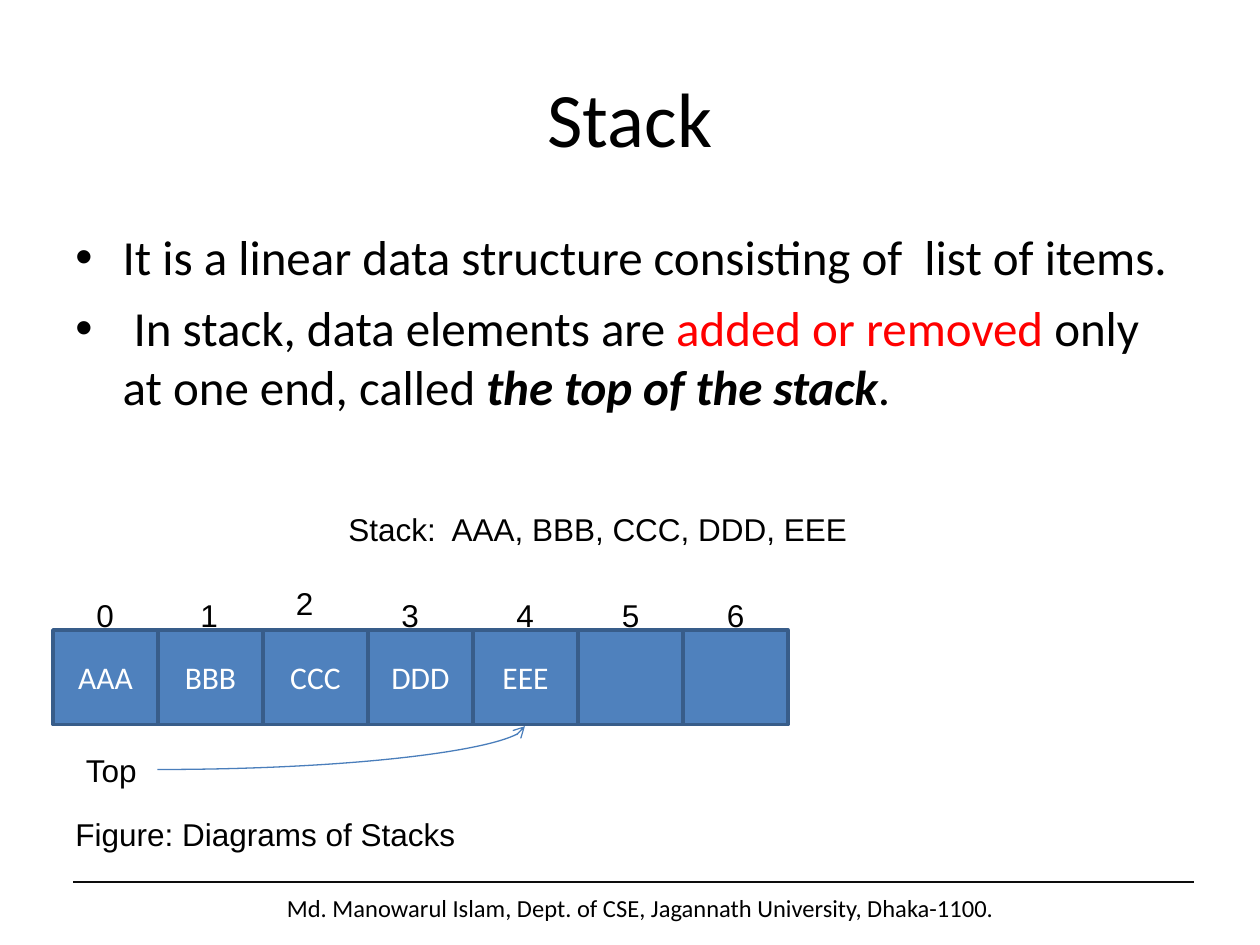
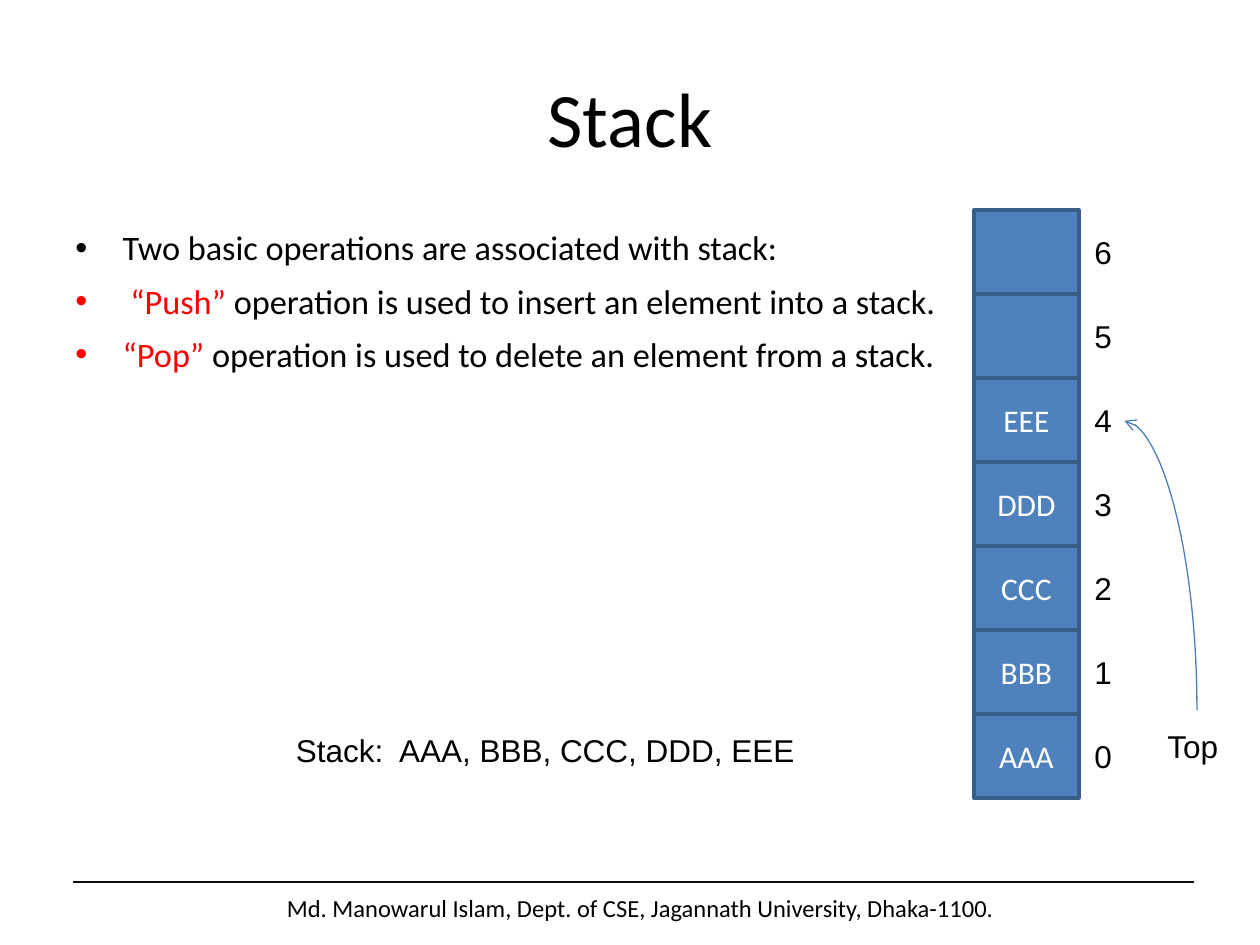
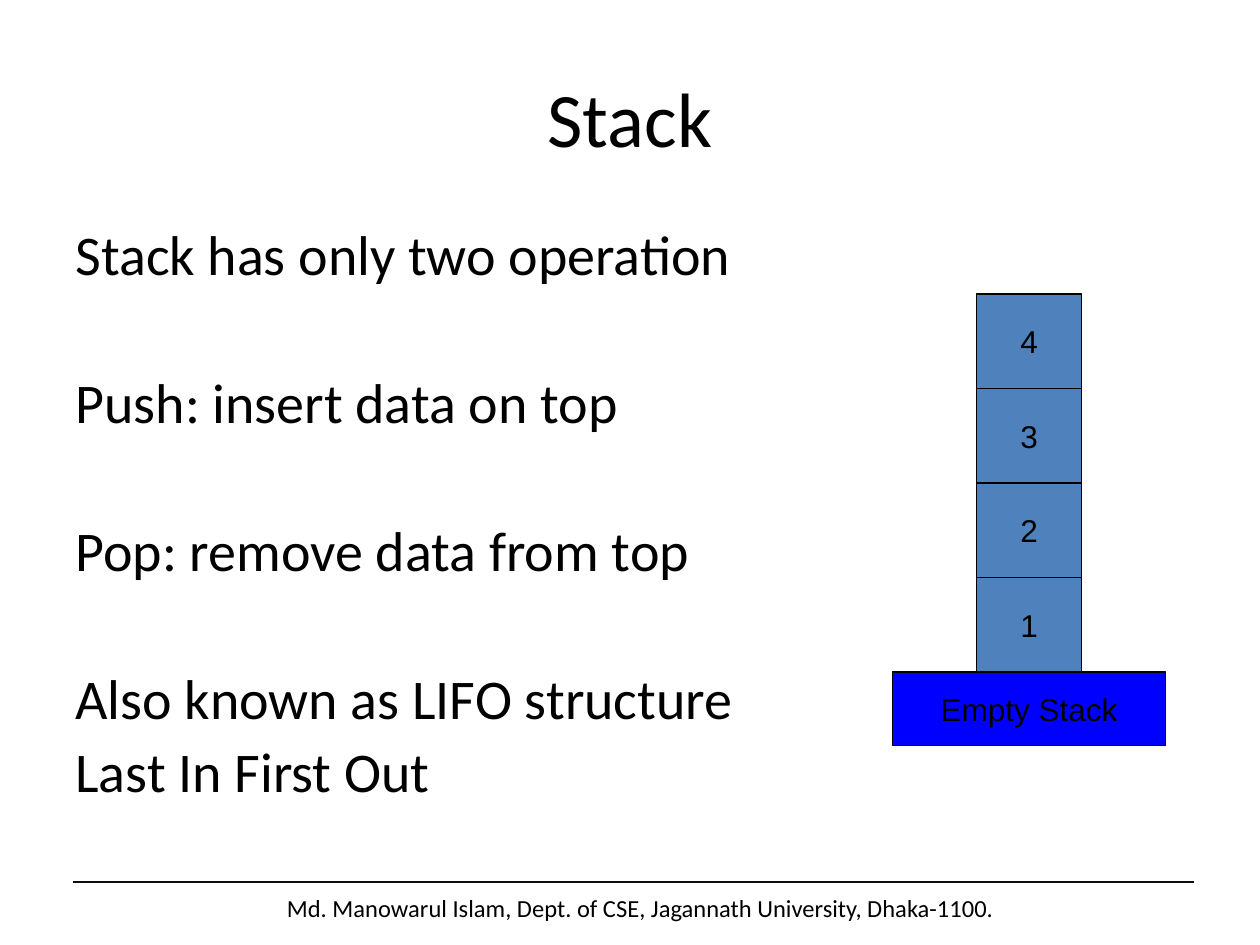
import dataclasses

import pptx
import pptx.dml.color
import pptx.enum.shapes
import pptx.enum.text
import pptx.oxml.ns
import pptx.oxml.xmlchemy
import pptx.util
from lxml import etree

Pt = pptx.util.Pt
qn = pptx.oxml.ns.qn
Align = pptx.enum.text.PP_ALIGN
Anchor = pptx.enum.text.MSO_ANCHOR


@dataclasses.dataclass(frozen=True)
class Theme:
    text: str = "000000"
    accent: str = "FF0000"
    light: str = "FFFFFF"
    cell: str = "4F81BD"
    cell_edge: str = "385D8A"
    base: str = "0000FF"
    curve: str = "4A7EBB"
    rule: str = "0D0D0D"
    body_font: str = "Calibri"
    label_font: str = "Arial"
    title_size: float = 44
    large_size: float = 32
    body_size: float = 28
    small_size: float = 19.6
    label_size: float = 18
    footer_size: float = 14


THEME = Theme()
FOOTER = "Md. Manowarul Islam, Dept. of CSE, Jagannath University, Dhaka-1100."
STACK_ITEMS = ["AAA", "BBB", "CCC", "DDD", "EEE", "", ""]
STACK_LABEL = "Stack:  AAA, BBB, CCC, DDD, EEE"
LABEL_HEIGHT = 28.8


def rgb(value):
    return pptx.dml.color.RGBColor.from_string(value)


class StackDeck:
    """Holds the deck, its theme and the slide being filled."""

    def __init__(self, theme):
        self.theme = theme
        self.deck = pptx.Presentation()
        self.deck.slide_width, self.deck.slide_height = Pt(720), Pt(540)

    def start_slide(self, title):
        theme = self.theme
        self.slide = self.deck.slides.add_slide(self.deck.slide_layouts[6])
        self.text(FOOTER, 27, 507, 678, 24.5, theme.footer_size, theme.body_font,
                  align=Align.CENTER)
        self.line(42, 504, 682.5, 504, theme.rule, 1)
        self.text(title, 36, 21.6, 648, 90, theme.title_size, theme.body_font,
                  align=Align.CENTER, anchor=Anchor.MIDDLE)

    def add_run(self, para, text, size, font, color, strong=False):
        span = para.add_run()
        span.text = text
        span.font.size = Pt(size)
        span.font.name = font
        span.font.color.rgb = rgb(color)
        if strong:
            span.font.bold = span.font.italic = True

    def text_box(self, left, top, width, height, wrap=True):
        box = self.slide.shapes.add_textbox(Pt(left), Pt(top), Pt(width), Pt(height))
        box.text_frame.word_wrap = wrap
        return box.text_frame

    def text(self, words, left, top, width, height, size, font,
             align=Align.LEFT, anchor=Anchor.TOP, wrap=True):
        frame = self.text_box(left, top, width, height, wrap)
        frame.vertical_anchor = anchor
        para = frame.paragraphs[0]
        para.alignment = align
        self.add_run(para, words, size, font, self.theme.text)

    def label(self, words, left, top, width=24.5):
        self.text(words, left, top, width, LABEL_HEIGHT, self.theme.label_size,
                  self.theme.label_font, wrap=False)

    def bullets(self, items, width, size):
        """Each item is a list of (text, color, strong) runs; the bullet takes the first color."""
        frame = self.text_box(36, 126, width, 132)
        for index, item in enumerate(items):
            para = frame.paragraphs[0] if index == 0 else frame.add_paragraph()
            if index:
                para.space_before = Pt(7)
            bullet_color = self.theme.text if item[0][0].startswith(" In") else item[0][1]
            properties = para._p.get_or_add_pPr()
            properties.set("marL", str(Pt(27)))
            properties.set("indent", str(-Pt(27)))
            color = etree.SubElement(properties, qn("a:buClr"))
            etree.SubElement(color, qn("a:srgbClr"), val=bullet_color)
            etree.SubElement(properties, qn("a:buFont"), typeface=self.theme.label_font)
            etree.SubElement(properties, qn("a:buChar"), char="•")
            for words, run_color, strong in item:
                self.add_run(para, words, size, self.theme.body_font, run_color, strong)

    def statements(self, items):
        """Each item is (text, space before in points)."""
        frame = self.text_box(36, 126, 500, 356)
        for index, (words, space) in enumerate(items):
            para = frame.paragraphs[0] if index == 0 else frame.add_paragraph()
            para.line_spacing = 0.9
            if space:
                para.space_before = Pt(space)
            self.add_run(para, words, self.theme.large_size, self.theme.body_font,
                         self.theme.text)

    def block(self, words, left, top, width, height, fill, edge, edge_width, font, color):
        shape = self.slide.shapes.add_shape(
            pptx.enum.shapes.MSO_SHAPE.RECTANGLE, Pt(left), Pt(top), Pt(width), Pt(height))
        shape.shadow.inherit = False
        shape.fill.solid()
        shape.fill.fore_color.rgb = rgb(fill)
        shape.line.color.rgb = rgb(edge)
        shape.line.width = Pt(edge_width)
        if words:
            shape.text_frame.vertical_anchor = Anchor.MIDDLE
            para = shape.text_frame.paragraphs[0]
            para.alignment = Align.CENTER
            self.add_run(para, words, self.theme.label_size, font, color)

    def cell(self, words, left, top, height):
        theme = self.theme
        self.block(words, left, top, 60, height, theme.cell, theme.cell_edge, 2,
                   theme.body_font, theme.light)

    def outlined_block(self, words, left, top, width, height, fill):
        theme = self.theme
        self.block(words, left, top, width, height, fill, theme.text, 0.75,
                   theme.label_font, theme.text)

    def line(self, x1, y1, x2, y2, color, width,
             kind=pptx.enum.shapes.MSO_CONNECTOR.STRAIGHT):
        connector = self.slide.shapes.add_connector(kind, Pt(x1), Pt(y1), Pt(x2), Pt(y2))
        connector.line.color.rgb = rgb(color)
        connector.line.width = Pt(width)
        etree.SubElement(connector._element.spPr, qn("a:effectLst"))
        return connector

    def curve(self, x1, y1, x2, y2, arrow_end):
        """Quarter curve, horizontal at its start; arrow_end is headEnd (start) or tailEnd."""
        connector = self.line(x1, y1, x2, y2, self.theme.curve, 0.75,
                              pptx.enum.shapes.MSO_CONNECTOR.CURVE)
        properties = connector._element.spPr
        properties.find(qn("a:prstGeom")).set("prst", "curvedConnector2")
        etree.SubElement(properties.find(qn("a:ln")), qn(f"a:{arrow_end}"), type="arrow")


def add_definition_slide(deck):
    text, accent = THEME.text, THEME.accent
    deck.start_slide("Stack")
    deck.bullets([
        [("It is a linear data structure consisting of  list of items.", text, False)],
        [(" In stack, data elements are ", text, False),
         ("added or removed ", accent, False),
         ("only at one end, called ", text, False),
         ("the top of the stack", text, True),
         (".", text, False)],
    ], 648, THEME.body_size)
    for index, item in enumerate(STACK_ITEMS):
        deck.cell(item, 30.25 + 60 * index, 360, 54)
    index_lefts = [48, 107.5, 162, 222.25, 288, 348.25, 408.25]
    for index, left in enumerate(index_lefts):
        deck.label(str(index), left, 330 if index == 2 else 337)
    deck.curve(90, 439.75, 300, 415, "tailEnd")
    deck.label("Top", 42, 425.5, 48)
    deck.label("Figure: Diagrams of Stacks", 36, 462, 231.5)
    deck.label(STACK_LABEL, 192, 288, 300)


def add_operations_slide(deck):
    text, accent = THEME.text, THEME.accent
    deck.start_slide("Stack")
    deck.bullets([
        [("Two basic operations are associated with stack:", text, False)],
        [(" “Push” ", accent, False),
         ("operation is used to insert an element into a stack.", text, False)],
        [("“Pop” ", accent, False),
         ("operation is used to delete an element from a stack.", text, False)],
    ], 522, THEME.small_size)
    deck.label(STACK_LABEL, 162, 414, 300)
    cell_height = 48
    for index, item in enumerate(STACK_ITEMS):
        top = 408 - cell_height * index
        deck.cell(item, 556.5, top, cell_height)
        deck.label(str(index), 618.25, top + (cell_height - LABEL_HEIGHT) / 2)
    deck.label("Top", 660, 412, 48)
    deck.curve(642.5, 240.5, 684, 406, "headEnd")


def add_lifo_slide(deck):
    deck.start_slide("Stack")
    deck.statements([
        ("Stack has only two operation", 0),
        ("Push: insert data on top", 50),
        ("Pop: remove data from top", 50),
        ("Also known as LIFO structure", 50),
        ("Last In First Out", 7.5),
    ])
    for number in range(1, 5):
        deck.outlined_block(str(number), 558, 384 - 54 * number, 60, 54, THEME.cell)
    deck.outlined_block("Empty Stack", 510, 384, 156, 42, THEME.base)


def main():
    deck = StackDeck(THEME)
    add_definition_slide(deck)
    add_operations_slide(deck)
    add_lifo_slide(deck)
    deck.deck.save("out.pptx")


if __name__ == "__main__":
    main()
